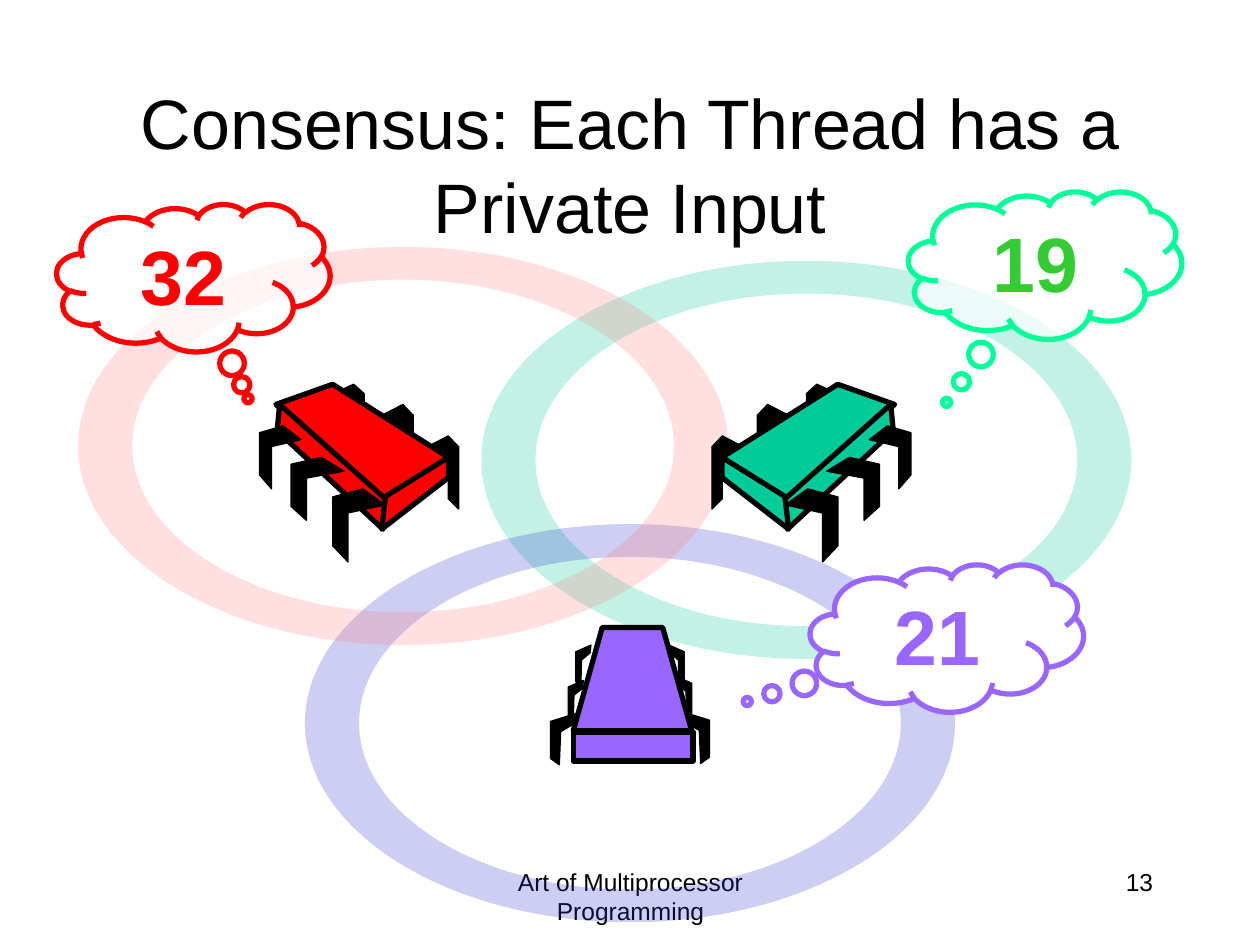
from lxml import etree
from pptx import Presentation
from pptx.dml.color import RGBColor
from pptx.enum.shapes import MSO_SHAPE
from pptx.enum.text import MSO_ANCHOR, MSO_AUTO_SIZE, PP_ALIGN
from pptx.oxml.ns import qn
from pptx.util import Cm, Pt

CLOUD, RECT = MSO_SHAPE.CLOUD_CALLOUT, MSO_SHAPE.RECTANGLE
CENTER, RIGHT = PP_ALIGN.CENTER, PP_ALIGN.RIGHT
MIDDLE, TOP = MSO_ANCHOR.MIDDLE, MSO_ANCHOR.TOP
FONT, BLACK, WHITE = "Arial", "000000", "FFFFFF"
RED, GREEN, PURPLE = "FF0000", "00CC99", "9966FF"

# Leg outlines as fractions of their own width and height
BACK_LEG = [(0, .15), (.67, 0), (1, .15), (1, 1), (.67, .86), (.67, .29), (0, .43)]
FRONT_LEG = [(.57, 0), (1, .22), (.29, .33), (.29, 1), (0, .78), (0, .11)]
SIDE_LEG = [(0, 0), (1, .16), (1, .88), (.67, 1), (.62, .36), (.06, .19)]

# Places of the legs: left, top, width, height
BACK_LEGS = [(3.39, 3.46, .25, .58), (3.03, 3.21, .25, .58), (2.64, 3.05, .25, .5)]
FRONT_LEGS = [(2.64, 3.88, .42, .58), (2.31, 3.63, .42, .5), (2.06, 3.38, .33, .5)]
BODY_FACES = [
    [(2.64, 3.05), (3.56, 3.63), (3.04, 3.97), (2.19, 3.21)],
    [(2.22, 3.21), (3.06, 3.96), (3.04, 4.2), (2.2, 3.42)],
    [(3.56, 3.63), (3.56, 3.79), (3.03, 4.2), (3.06, 3.94)],
]


def inch(value):
    return Cm(value * 2.54)


def box(*values):
    return [inch(v) for v in values]


def rgb(color):
    return RGBColor.from_string(color)


def paint(shape, fill, alpha=None, line=None, width=0.75):
    shape.shadow.inherit = False
    shape.fill.solid()
    shape.fill.fore_color.rgb = rgb(fill)
    if alpha:
        clr = shape._element.spPr.find(qn("a:solidFill"))[0]
        etree.SubElement(clr, qn("a:alpha")).set("val", str(alpha * 1000))
    if line:
        shape.line.color.rgb = rgb(line)
        shape.line.width = Pt(width)
    else:
        shape.line.fill.background()


def write(shape, text, size, color=BLACK, bold=False, align=CENTER, anchor=MIDDLE):
    tf = shape.text_frame
    tf.word_wrap = True
    tf.auto_size = MSO_AUTO_SIZE.NONE
    tf.vertical_anchor = anchor
    p = tf.paragraphs[0]
    p.alignment = align
    r = p.add_run()
    r.text = text
    r.font.name, r.font.size, r.font.bold = FONT, Pt(size), bold
    r.font.color.rgb = rgb(color)


def outline(shapes, *contours):
    """Build one closed freeform from contours given in inches."""
    first, *others = [[tuple(box(*pt)) for pt in c] for c in contours]
    builder = shapes.build_freeform(*first[0], scale=1.0)
    builder.add_line_segments(first[1:], close=True)
    for contour in others:
        builder.move_to(*contour[0])
        builder.add_line_segments(contour[1:], close=True)
    return builder.convert_to_shape()


def ellipse(cx, cy, rx, ry, direction=1):
    """Start point and the control points of four Bezier quarters."""
    k = .55
    unit = [(-1, 0), (-1, -k), (-k, -1), (0, -1), (k, -1), (1, -k), (1, 0),
            (1, k), (k, 1), (0, 1), (-k, 1), (-1, k), (-1, 0)]
    return [(cx + rx * u, cy + direction * ry * v) for u, v in unit]


def curve(shape):
    """Join every three line segments into one Bezier curve."""
    lines = list(shape._element.iter(qn("a:lnTo")))
    for i in range(0, len(lines), 3):
        bezier = etree.Element(qn("a:cubicBezTo"))
        lines[i].addprevious(bezier)
        for line in lines[i:i + 3]:
            bezier.append(line[0])
            line.getparent().remove(line)


def add_ring(s, cx, cy, color):
    outer = ellipse(cx, cy, 2.58, 1.58)
    inner = ellipse(cx, cy, 2.15, 1.32, direction=-1)
    ring = outline(s.shapes, outer, inner)
    curve(ring)
    paint(ring, color, alpha=24)


def mirror(points, span):
    return [(span - x, y) for x, y in points]


def fit(leg, x, y, w, h):
    return [(x + w * u, y + h * v) for u, v in leg]


def add_leg(group, points):
    paint(outline(group.shapes, points), BLACK, line=BLACK)


def add_face(group, points, color):
    paint(outline(group.shapes, points), color, line=BLACK, width=3)


def add_side_thread(s, color, span=None):
    """Thread seen at an angle, mirrored within the span if one is given."""
    def turn(points):
        return mirror(points, span) if span else points

    group = s.shapes.add_group_shape()
    for place in BACK_LEGS:
        add_leg(group, turn(fit(BACK_LEG, *place)))
    for face in BODY_FACES:
        add_face(group, turn(face), color)
    for place in FRONT_LEGS:
        add_leg(group, turn(fit(FRONT_LEG, *place)))


def add_leg_pair(group, right, left_drop):
    points = fit(SIDE_LEG, *right)
    add_leg(group, points)
    add_leg(group, [(x, y + left_drop) for x, y in mirror(points, 10)])


def add_front_thread(s, color):
    group = s.shapes.add_group_shape()
    add_leg_pair(group, (5.42, 5.65, .21, .41), .01)
    add_leg_pair(group, (5.37, 5.37, .12, .33), .03)
    add_face(group, [(4.55, 5.8), (4.78, 4.98), (5.26, 4.98), (5.49, 5.8)], color)
    front = group.shapes.add_shape(RECT, *box(4.55, 5.81, .95, .23))
    paint(front, color, line=BLACK, width=3)
    add_leg_pair(group, (5.31, 5.12, .12, .33), 0)


def add_thought(s, x, y, tail, text, line, color, alpha=None):
    sp = s.shapes.add_shape(CLOUD, *box(x, y, 2.17, 1.17))
    sp.adjustments[0], sp.adjustments[1] = tail
    paint(sp, WHITE, alpha, line, 3)
    write(sp, text, 44, color, bold=True)


def add_label(s, x, w, text, align):
    sp = s.shapes.add_textbox(*box(x, 6.83, w, .5))
    write(sp, text, 14, align=align, anchor=TOP)


def main():
    prs = Presentation()
    prs.slide_width, prs.slide_height = box(10, 7.5)
    s = prs.slides.add_slide(prs.slide_layouts[5])

    # Title
    title = s.shapes.title
    title.left, title.top, title.width, title.height = box(.75, .67, 8.5, 1.25)
    write(title, "Consensus: Each Thread has a Private Input", 40)

    # Footer and page number
    add_label(s, 3.42, 3.17, "Art of Multiprocessor Programming", CENTER)
    add_label(s, 7.17, 2.08, "13", RIGHT)

    # Overlapping rings
    add_ring(s, 6.4, 3.65, GREEN)
    add_ring(s, 5, 5.74, "3333CC")
    add_ring(s, 3.2, 3.54, "FF7C80")

    # Threads and their private inputs
    add_front_thread(s, PURPLE)
    add_thought(s, .45, 1.62, (.2, .82), "32", RED, RED, 70)
    add_thought(s, 7.21, 1.52, (-.36, .93), "19", "00FF99", "33CC33", 70)
    add_side_thread(s, RED)
    add_side_thread(s, GREEN, span=9.29)
    add_thought(s, 6.43, 4.48, (-.73, .43), "21", PURPLE, PURPLE)

    prs.save("out.pptx")


if __name__ == "__main__":
    main()
